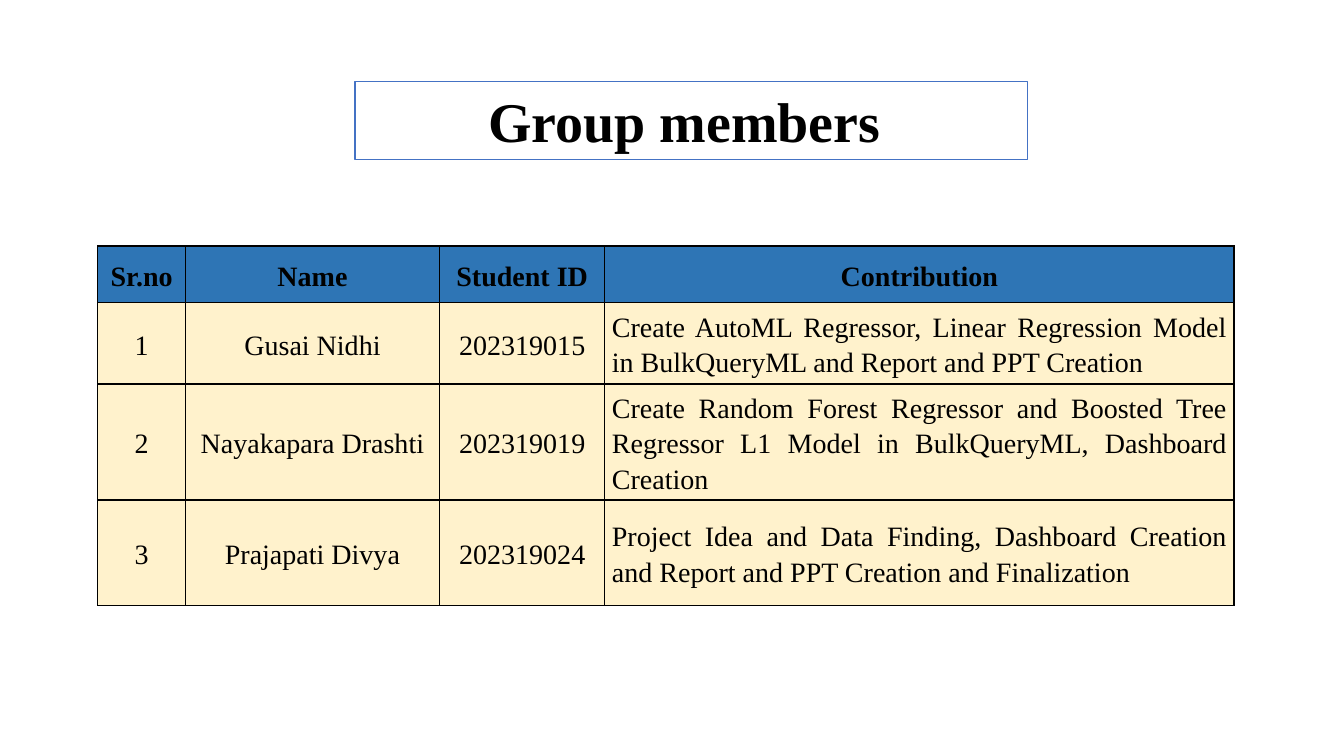
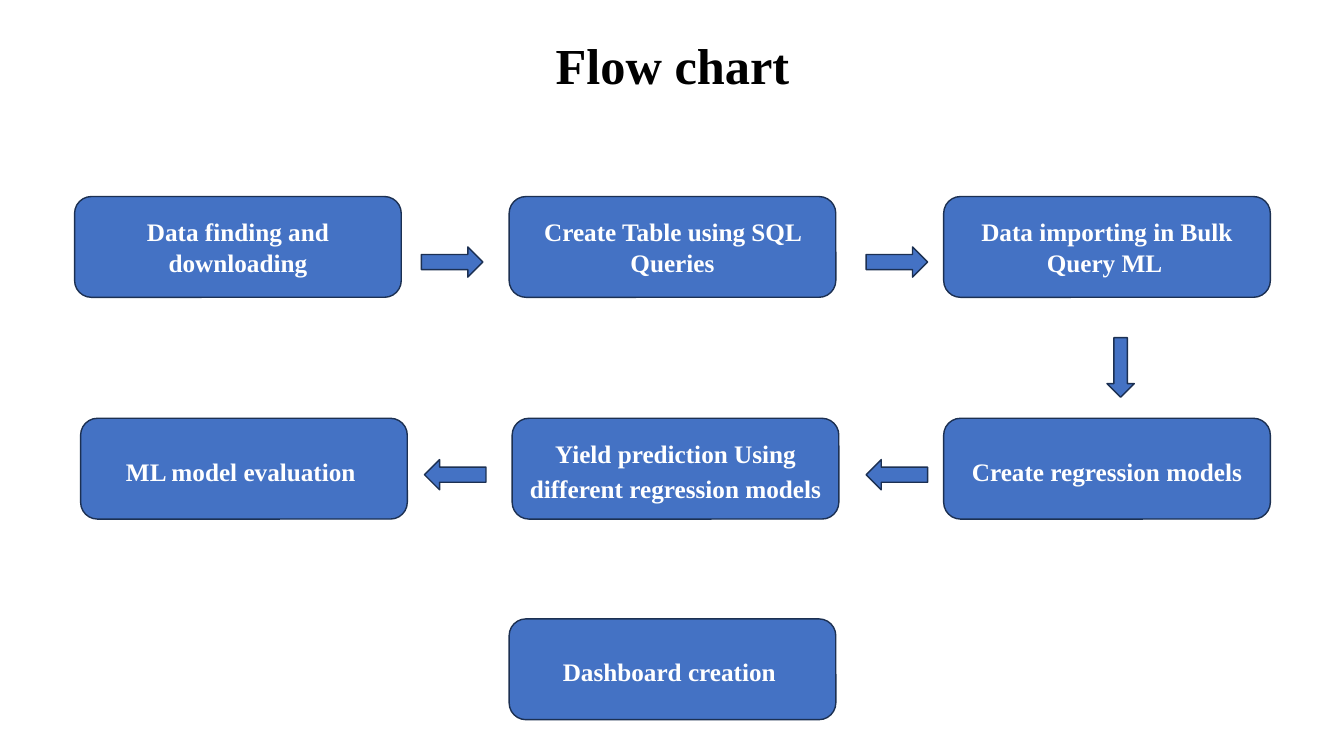
from pptx import Presentation
from pptx.dml.color import RGBColor
from pptx.enum.shapes import MSO_SHAPE as Shape
from pptx.enum.text import MSO_ANCHOR as Anchor, MSO_AUTO_SIZE as AutoSize, PP_ALIGN as Align
from pptx.oxml import parse_xml
from pptx.oxml.ns import nsdecls
from pptx.util import Inches, Pt

# Shared style
FONT = "Times New Roman"
BLACK = RGBColor(0x00, 0x00, 0x00)
WHITE = RGBColor(0xFF, 0xFF, 0xFF)
BLUE = RGBColor(0x44, 0x72, 0xC4)
NAVY = RGBColor(0x1C, 0x30, 0x52)
HEADER_BLUE = RGBColor(0x2E, 0x75, 0xB5)
CREAM = RGBColor(0xFF, 0xF2, 0xCC)

# Group members
MEMBERS = [
    ("Sr.no", "Name", "Student ID", "Contribution"),
    ("1", "Gusai Nidhi", "202319015",
     "Create AutoML Regressor, Linear Regression Model in BulkQueryML and Report and PPT Creation"),
    ("2", "Nayakapara Drashti", "202319019",
     "Create Random Forest Regressor and Boosted Tree Regressor L1 Model in BulkQueryML, Dashboard Creation"),
    ("3", "Prajapati Divya", "202319024",
     "Project Idea and Data Finding, Dashboard Creation and Report and PPT Creation and Finalization"),
]
COLUMN_WIDTHS = (0.87, 2.52, 1.64, 6.24)
ROW_HEIGHTS = (0.56, 0.81, 1.15, 1.05)

# Flow chart rows: left, top, column step, line spacing, steps
STEP_ROWS = [
    (0.74, 1.95, 4.31, 1.0, ["Data finding and downloading", "Create Table using SQL Queries",
                             "Data importing in Bulk Query ML "]),
    (0.8, 4.15, 4.28, 1.15, ["ML model evaluation ", "Yield prediction Using different regression models",
                             "Create regression models"]),
    (5.05, 6.14, 0, 1.15, ["Dashboard creation "]),
]
STEP_SIZE = (3.24, 1)
ACROSS, DOWN = (0.61, 0.3), (0.27, 0.59)
ARROWS = [
    (Shape.RIGHT_ARROW, 4.18, 2.45, ACROSS),
    (Shape.RIGHT_ARROW, 8.59, 2.45, ACROSS),
    (Shape.DOWN_ARROW, 10.98, 3.35, DOWN),
    (Shape.LEFT_ARROW, 8.59, 4.56, ACROSS),
    (Shape.LEFT_ARROW, 4.21, 4.56, ACROSS),
]


def write(frame, text, size, color, bold=True, align=Align.CENTER, spacing=1.0):
    frame.text = text
    frame.word_wrap = True
    para = frame.paragraphs[0]
    para.alignment = align
    para.line_spacing = spacing
    for span in para.runs:
        span.font.name = FONT
        span.font.size = Pt(size)
        span.font.bold = bold
        span.font.color.rgb = color


def paint(shape, fill, line):
    shape.fill.solid()
    shape.fill.fore_color.rgb = fill
    shape.line.color.rgb = line
    shape.line.width = Pt(1)


def add_page(deck, text, place, size, spacing=1.0):
    page = deck.slides.add_slide(deck.slide_layouts[5])
    title = page.shapes.title
    title.left, title.top, title.width, title.height = map(Inches, place)
    write(title.text_frame, text, size, BLACK, spacing=spacing)
    title.text_frame.auto_size = AutoSize.NONE
    title.text_frame.vertical_anchor = Anchor.MIDDLE
    return page


def add_block(page, kind, left, top, size):
    block = page.shapes.add_shape(kind, Inches(left), Inches(top), *map(Inches, size))
    block.shadow.inherit = False
    paint(block, BLUE, NAVY)
    return block


def add_borders(cell):
    properties = cell._tc.get_or_add_tcPr()
    for side in ("lnL", "lnR", "lnT", "lnB"):
        properties.append(parse_xml(
            f'<a:{side} {nsdecls("a")} w="{Pt(1)}"><a:solidFill>'
            f'<a:srgbClr val="{BLACK}"/></a:solidFill></a:{side}>'))


def add_members(page):
    table = page.shapes.add_table(
        len(MEMBERS), len(COLUMN_WIDTHS), Inches(0.97), Inches(2.44),
        Inches(sum(COLUMN_WIDTHS)), Inches(sum(ROW_HEIGHTS))).table
    table.horz_banding = False
    for column, width in zip(table.columns, COLUMN_WIDTHS):
        column.width = Inches(width)
    for r, (values, height) in enumerate(zip(MEMBERS, ROW_HEIGHTS)):
        table.rows[r].height = Inches(height)
        header = r == 0
        for c, value in enumerate(values):
            cell = table.cell(r, c)
            add_borders(cell)
            cell.fill.solid()
            cell.fill.fore_color.rgb = HEADER_BLUE if header else CREAM
            cell.margin_left = cell.margin_right = Inches(0.07)
            cell.margin_top = cell.margin_bottom = 0
            cell.vertical_anchor = Anchor.MIDDLE
            prose = c == len(values) - 1 and not header
            write(cell.text_frame, value, 20, BLACK, bold=header,
                  align=Align.JUSTIFY if prose else Align.CENTER, spacing=1.15)


def add_flow(page):
    for left, top, step, spacing, labels in STEP_ROWS:
        for i, label in enumerate(labels):
            box = add_block(page, Shape.ROUNDED_RECTANGLE, left + i * step, top, STEP_SIZE)
            write(box.text_frame, label, 18, WHITE, spacing=spacing)
            box.text_frame.vertical_anchor = Anchor.MIDDLE
    for arrow in ARROWS:
        add_block(page, *arrow)


def main():
    deck = Presentation()
    deck.slide_width, deck.slide_height = Inches(13.33), Inches(7.5)

    members = add_page(deck, "Group members ", (3.52, 0.81, 6.67, 0.77), 40)
    paint(members.shapes.title, WHITE, BLUE)
    add_members(members)

    flow = add_page(deck, "Flow chart", (0.92, 0.4, 11.5, 0.56), 36, spacing=0.9)
    add_flow(flow)

    deck.save("out.pptx")


if __name__ == "__main__":
    main()
